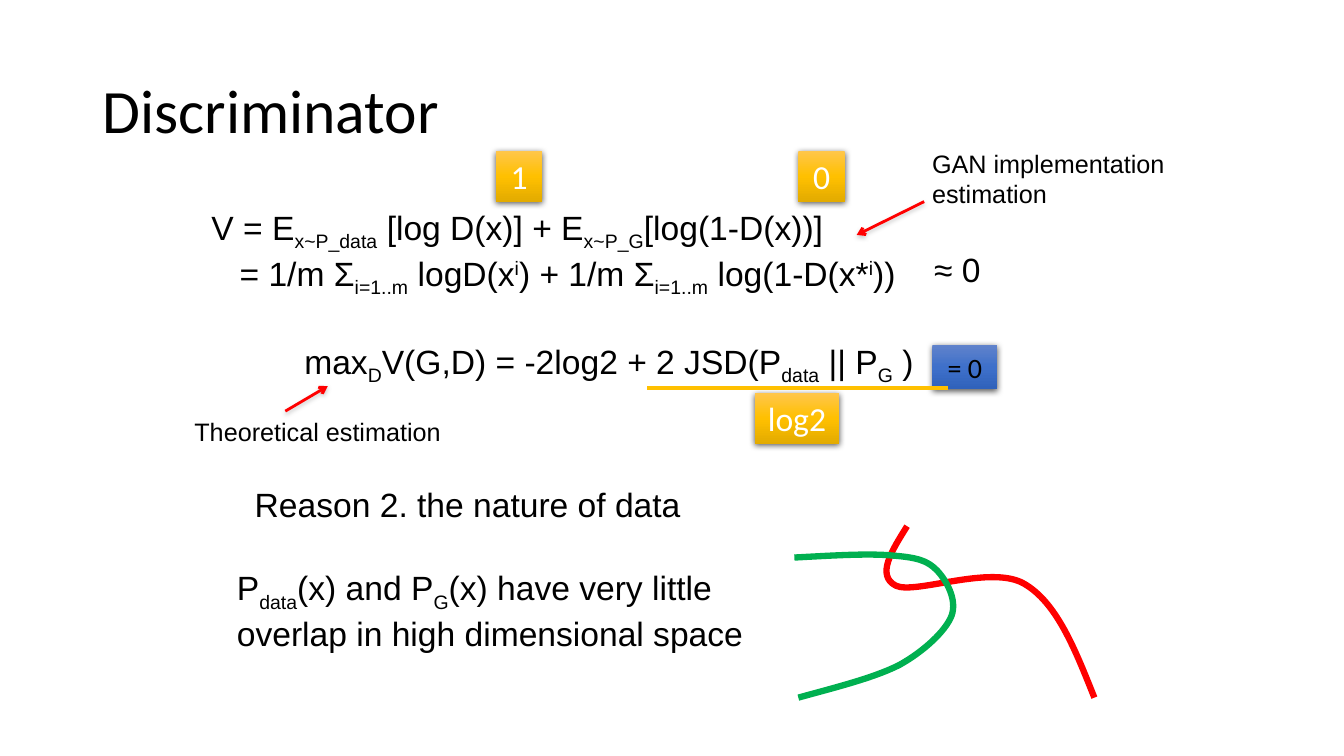
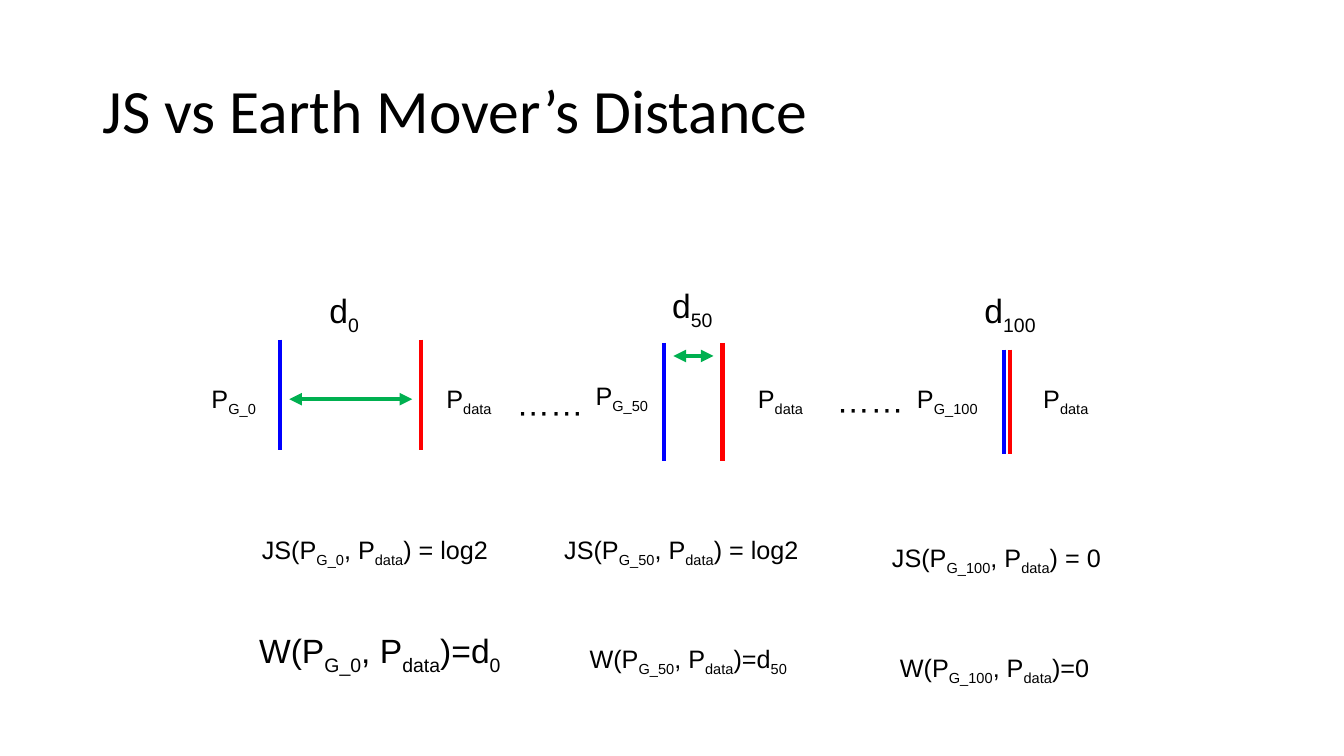
from dataclasses import dataclass
from typing import NamedTuple, Optional

from lxml.etree import SubElement
from copy import deepcopy
from pptx import Presentation
from pptx.dml.color import RGBColor
from pptx.enum.shapes import MSO_CONNECTOR, MSO_SHAPE
from pptx.enum.text import MSO_ANCHOR, MSO_AUTO_SIZE, PP_ALIGN
from pptx.oxml.ns import qn
from pptx.slide import Slide
from pptx.util import Cm, Pt

COLORS = {
    "black": "000000",
    "white": "FFFFFF",
    "red": "FF0000",
    "green": "00B050",
    "blue": "0000FF",
    "gold": "FFC000",
    "gray": "808080",
}
GRADIENTS = {
    "gold": ("FFC64B", "FFC000", "E3AB00"),
    "blue": ("6183CB", "3E70CA", "3062BB"),
}
TITLE_FONT, BODY_FONT = "Calibri", "Arial"
INSET = 0.25
BASELINES = {"_{": "-25000", "^{": "30000"}


class Shadow(NamedTuple):
    color: str
    alpha: int
    blur: float
    dist: float


BOX_SHADOW = Shadow("black", 63, 4.5, 1.5)
ARROW_SHADOW = Shadow("gray", 38, 3.1, 1.6)


@dataclass
class Label:
    """Text with _{subscripts} and ^{superscripts}; lengths in cm."""
    text: str
    x: float
    y: float
    w: float
    size: int = 24
    wrap: bool = False
    inset: float = INSET
    rotation: int = 0
    align: PP_ALIGN = PP_ALIGN.LEFT
    next_indent: float = 0


@dataclass
class Box:
    text: str
    x: float
    y: float
    w: float
    h: float = 1.27
    fill: str = "gold"
    color: str = "white"
    size: int = 24


@dataclass
class Line:
    x1: float
    y1: float
    x2: float
    y2: float
    color: str
    width: float = 3
    head: str = ""
    tail: str = ""
    shadow: Optional[Shadow] = None


@dataclass
class Curve:
    """A start point followed by three control points per Bezier segment."""
    color: str
    points: list[tuple[float, float]]


class Spot(NamedTuple):
    x: float
    y: float
    w: float
    size: int = 18
    inset: float = INSET


@dataclass
class Stage:
    """One training step: two distributions, their gap and both distances."""
    step: int
    blue_x: float
    red_x: float
    top: float
    bottom: float
    arrow_y: Optional[float]
    js_value: str
    w_value: str
    gap: Spot
    generated: Spot
    data: Spot
    js: Spot
    w: Spot


def rgb(name: str) -> RGBColor:
    return RGBColor.from_string(COLORS[name])


def style_paragraph(p, font: str, size: int, color: str) -> None:
    p.font.name = font
    p.font.size = Pt(size)
    p.font.color.rgb = rgb(color)


def set_effects(shape, shadow: Optional[Shadow]) -> None:
    """Replace the theme shadow by the given one, or by none."""
    effects = SubElement(shape._element.spPr, qn("a:effectLst"))
    if shadow:
        outer = SubElement(effects, qn("a:outerShdw"), blurRad=str(Pt(shadow.blur)),
                           dist=str(Pt(shadow.dist)), dir="5400000", rotWithShape="0")
        color = SubElement(outer, qn("a:srgbClr"), val=COLORS[shadow.color])
        SubElement(color, qn("a:alpha"), val=str(shadow.alpha * 1000))


def add_runs(p, text: str) -> None:
    for mark in BASELINES:
        text = text.replace(mark, "}" + mark)
    for chunk in filter(None, text.split("}")):
        baseline = BASELINES.get(chunk[:2])
        r = p.add_run()
        r.text = chunk[2:] if baseline else chunk
        if baseline:
            r._r.get_or_add_rPr().set("baseline", baseline)


def add_label(s: Slide, label: Label) -> None:
    lines = label.text.split("\n")
    height = len(lines) * label.size * 0.0423 + 2 * label.inset
    sp = s.shapes.add_textbox(Cm(label.x), Cm(label.y), Cm(label.w), Cm(height))
    sp.rotation = label.rotation
    tf = sp.text_frame
    tf.word_wrap = label.wrap
    tf.auto_size = MSO_AUTO_SIZE.SHAPE_TO_FIT_TEXT
    if not label.inset:
        tf.margin_left = tf.margin_right = tf.margin_top = tf.margin_bottom = 0
    for i, line in enumerate(lines):
        p = tf.add_paragraph() if i else tf.paragraphs[0]
        p.alignment = label.align
        style_paragraph(p, BODY_FONT, label.size, "black")
        if i and label.next_indent:
            p._p.get_or_add_pPr().set("marL", str(Cm(label.next_indent)))
        add_runs(p, line)


def add_box(s: Slide, box: Box) -> None:
    sp = s.shapes.add_shape(MSO_SHAPE.RECTANGLE, Cm(box.x), Cm(box.y), Cm(box.w), Cm(box.h))
    sp.fill.gradient()
    sp.fill.gradient_angle = 270
    stop_list = sp._element.spPr.find(".//" + qn("a:gsLst"))
    stop_list.insert(1, deepcopy(stop_list[0]))
    for i, (stop, color) in enumerate(zip(sp.fill.gradient_stops, GRADIENTS[box.fill])):
        stop.position = i / 2
        stop.color.rgb = RGBColor.from_string(color)
    sp.line.fill.background()
    set_effects(sp, BOX_SHADOW)
    p = sp.text_frame.paragraphs[0]
    p.alignment = PP_ALIGN.CENTER
    style_paragraph(p, TITLE_FONT, box.size, box.color)
    add_runs(p, box.text)


def add_line(s: Slide, line: Line) -> None:
    c = s.shapes.add_connector(MSO_CONNECTOR.STRAIGHT, Cm(line.x1), Cm(line.y1),
                               Cm(line.x2), Cm(line.y2))
    c.line.color.rgb = rgb(line.color)
    c.line.width = Pt(line.width)
    ln = c._element.spPr.find(qn("a:ln"))
    for tag, kind in (("a:headEnd", line.head), ("a:tailEnd", line.tail)):
        if kind:
            SubElement(ln, qn(tag), type=kind)
    set_effects(c, line.shadow)


def add_curve(s: Slide, curve: Curve) -> None:
    points = [(Cm(x), Cm(y)) for x, y in curve.points]
    builder = s.shapes.build_freeform(*points[0])
    builder.add_line_segments(points[1:], close=False)
    sp = builder.convert_to_shape()
    outline = sp._element.spPr.find(".//" + qn("a:path"))
    segments = outline.findall(qn("a:lnTo"))
    for i in range(0, len(segments), 3):
        bezier = SubElement(outline, qn("a:cubicBezTo"))
        for segment in segments[i:i + 3]:
            bezier.append(segment[0])
            outline.remove(segment)
    sp.fill.background()
    sp.line.color.rgb = rgb(curve.color)
    sp.line.width = Pt(4.5)
    sp.shadow.inherit = False


def add_titled_slide(prs, title: str) -> Slide:
    s = prs.slides.add_slide(prs.slide_layouts[5])
    sp = s.shapes.title
    sp.left, sp.top, sp.width, sp.height = Cm(2.33), Cm(1.02), Cm(29.21), Cm(3.68)
    tf = sp.text_frame
    tf.text = title
    tf.vertical_anchor = MSO_ANCHOR.MIDDLE
    p = tf.paragraphs[0]
    p.alignment = PP_ALIGN.LEFT
    p.line_spacing = 0.9
    style_paragraph(p, TITLE_FONT, 44, "black")
    return s


def build_discriminator(prs) -> None:
    s = add_titled_slide(prs, "Discriminator")
    for curve in (
        Curve("red", [(22.86, 13.26), (22.48, 13.87), (22.07, 14.5), (22.58, 14.76),
                      (23.06, 14.99), (24.97, 14.22), (25.81, 14.71),
                      (26.64, 15.19), (27.1, 16.38), (27.58, 17.58)]),
        Curve("green", [(20.02, 14.05), (20.96, 14), (21.89, 13.94), (22.5, 14),
                        (23.11, 14.05), (23.37, 14.12), (23.62, 14.38),
                        (23.85, 14.63), (24.13, 15.11), (23.98, 15.52),
                        (23.83, 15.9), (23.29, 16.41), (22.66, 16.76),
                        (22, 17.09), (21.06, 17.32), (20.12, 17.58)]),
    ):
        add_curve(s, curve)
    for box in (
        Box("1", 12.5, 3.81, 1.17),
        Box("0", 20.12, 3.81, 1.17),
        Box("= 0", 23.5, 8.69, 1.63, 1.12, "blue", "black", 20),
        Box("log2", 19.02, 9.91, 2.13),
    ):
        add_box(s, box)
    for line in (
        Line(16.31, 9.78, 23.88, 9.78, "gold"),
        Line(7.19, 10.36, 8.26, 9.73, "red", 2, tail="arrow", shadow=ARROW_SHADOW),
        Line(23.29, 5.08, 21.59, 5.92, "red", 2, tail="arrow", shadow=ARROW_SHADOW),
    ):
        add_line(s, line)
    for label in (
        Label("V = E_{x~P_data} [log D(x)] + E_{x~P_G}[log(1-D(x))]\n"
              "= 1/m Σ_{i=1..m} logD(x^{i}) + 1/m Σ_{i=1..m} log(1-D(x*^{i}))",
              5.08, 5.08, 19.69, wrap=True, next_indent=0.71),
        Label("≈ 0", 23.29, 6.15, 1.7),
        Label("max_{D}V(G,D) = -2log2 + 2 JSD(P_{data} || P_{G} )", 7.42, 8.46, 16.28),
        Label("GAN implementation\nestimation", 23.24, 3.61, 6.43, 18),
        Label("Theoretical estimation", 4.65, 10.36, 6.78, 18),
        Label("Reason 2. the nature of data", 6.17, 12.07, 16.48, wrap=True),
        Label("P_{data}(x) and P_{G}(x) have very little\noverlap in high dimensional space",
              5.72, 14.17, 13.39),
    ):
        add_label(s, label)


def add_stage(s: Slide, stage: Stage) -> None:
    for x, color in ((stage.red_x, "red"), (stage.blue_x, "blue")):
        add_line(s, Line(x, stage.top, x, stage.bottom, color))
    if stage.arrow_y:
        add_line(s, Line(stage.blue_x + 0.23, stage.arrow_y, stage.red_x - 0.23, stage.arrow_y,
                         "green", head="triangle", tail="triangle"))
    generated = f"P_{{G_{stage.step}}}"
    pair = f"({generated}, P_{{data}})"
    for text, spot in (
        (f"d_{{{stage.step}}}", stage.gap),
        (generated, stage.generated),
        ("P_{data}", stage.data),
        (f"JS{pair} = {stage.js_value}", stage.js),
        (f"W{pair}={stage.w_value}", stage.w),
    ):
        add_label(s, Label(text, spot.x, spot.y, spot.w, spot.size, inset=spot.inset))


def build_distances(prs) -> None:
    s = add_titled_slide(prs, "JS vs Earth Mover’s Distance")
    for stage in (
        Stage(0, 7.06, 10.62, 8.56, 11.35, 10.06, "log2", "d_{0}",
              Spot(8.05, 7.19, 1.3, 24), Spot(5.08, 9.53, 1.75), Spot(11, 9.53, 1.78),
              Spot(6.35, 13.34, 6.48), Spot(6.53, 15.88, 6.48, 24, 0)),
        Stage(50, 16.74, 18.21, 8.64, 11.61, 8.97, "log2", "d_{50}",
              Spot(16.94, 7.19, 1.12, 24, 0), Spot(15.01, 9.58, 1.47, 18, 0),
              Spot(18.85, 9.53, 1.78), Spot(13.97, 13.34, 6.73), Spot(14.61, 16.08, 5.84)),
        Stage(100, 25.3, 25.45, 8.81, 11.43, None, "0", "0",
              Spot(24.56, 7.19, 1.93, 24), Spot(22.86, 9.53, 2.24), Spot(26.04, 9.53, 1.78),
              Spot(22.23, 13.54, 6.1), Spot(22.43, 16.31, 5.61)),
    ):
        add_stage(s, stage)
    for x, y in ((12.55, 9.86), (20.62, 9.78)):
        add_label(s, Label("……", x, y, 2.62, wrap=True, rotation=180, align=PP_ALIGN.CENTER))


def main() -> None:
    prs = Presentation()
    prs.slide_width, prs.slide_height = Cm(33.87), Cm(19.05)
    build_discriminator(prs)
    build_distances(prs)
    prs.save("out.pptx")


if __name__ == "__main__":
    main()
